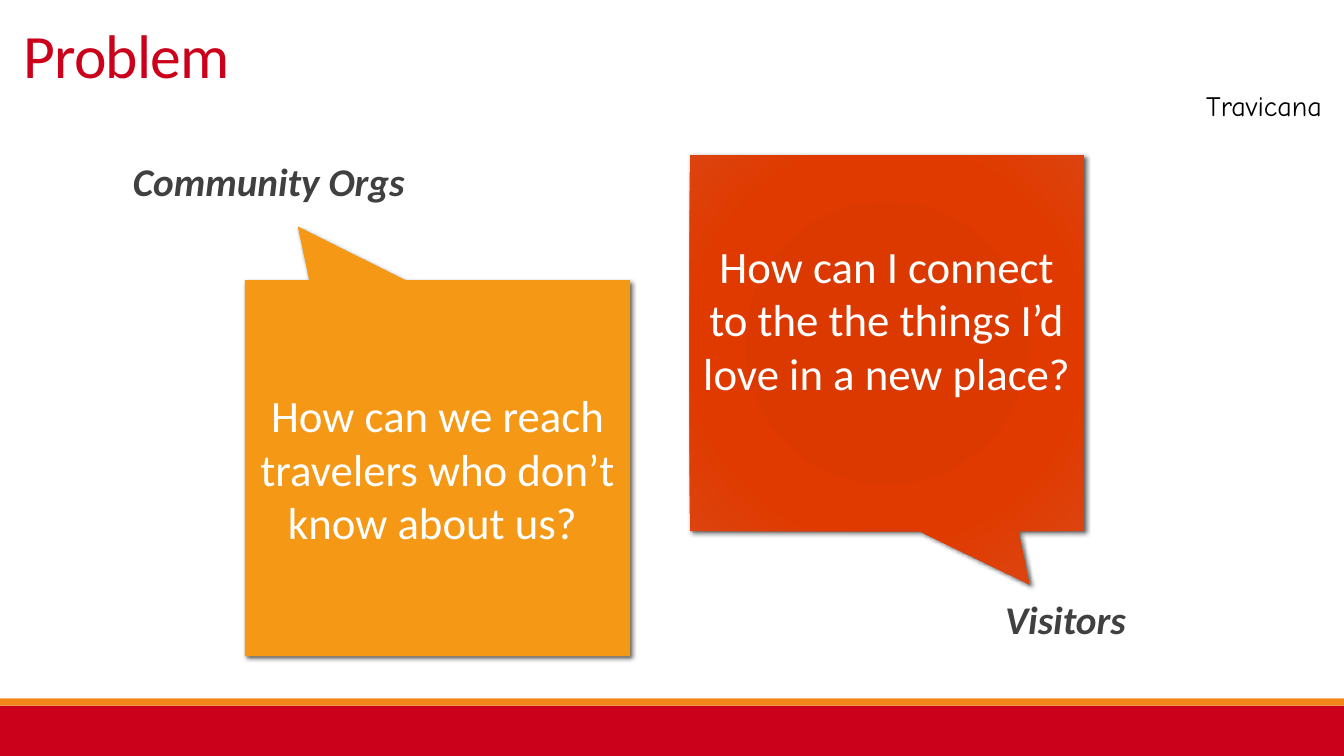
from lxml.etree import SubElement
from pptx import Presentation
from pptx.dml.color import RGBColor
from pptx.enum.shapes import MSO_SHAPE
from pptx.enum.text import MSO_ANCHOR, PP_ALIGN
from pptx.oxml import parse_xml
from pptx.oxml.ns import qn
from pptx.util import Inches, Pt

WIDE, HIGH = 13.33, 7.5
NS = 'xmlns:a="http://schemas.openxmlformats.org/drawingml/2006/main"'

BANDS = [(7, 0.5, "CB001A"), (6.93, 0.07, "F28818")]
LABELS = [
    ("Visitors", (9.87, 5.91, 2.33, 0.71)),
    ("Community Orgs", (1.22, 1.56, 5.64, 1.19)),
]
GLOW = [(0, "DA3900"), (34, "DC3900"), (70, "E03A00"), (100, "DC430E")]
CALLS = [
    ("How can I connect to the the things I’d love in a new place?",
     (6.84, 1.54, 3.91, 3.73), (0.363, 0.643), GLOW, 0.53),
    ("How can we reach travelers who don’t know about us? ",
     (2.43, 2.78, 3.82, 3.73), (-0.363, -0.643), "F49815", 0.05),
]


def color(code):
    return RGBColor.from_string(code)


def write(shape, text, size=32, font="Calibri", ink="FFFFFF", bold=False,
          align=PP_ALIGN.LEFT, anchor=MSO_ANCHOR.TOP, line=None,
          inset=(0.1, 0.05, 0.1, 0.05), track=None):
    frame = shape.text_frame
    frame.word_wrap = True
    frame.vertical_anchor = anchor
    (frame.margin_left, frame.margin_top,
     frame.margin_right, frame.margin_bottom) = map(Inches, inset)
    para = frame.paragraphs[0]
    para.alignment = align
    if line:
        para.line_spacing = line
    run = para.add_run()
    run.text = text
    face = run.font
    face.size, face.name = Pt(size), font
    face.bold = face.italic = bold
    face.color.rgb = color(ink)
    if track:
        run._r.get_or_add_rPr().set("spc", str(int(track * 100)))


def place(kind, box, fill):
    shape = slide.shapes.add_shape(kind, *map(Inches, box))
    shape.shadow.inherit = False
    shape.line.fill.background()
    if isinstance(fill, str):
        shape.fill.solid()
        shape.fill.fore_color.rgb = color(fill)
    else:
        stops = "".join(
            f'<a:gs pos="{pos * 1000}"><a:srgbClr val="{code}"/></a:gs>'
            for pos, code in fill)
        shape._element.spPr.find(qn("a:prstGeom")).addnext(parse_xml(
            f'<a:gradFill {NS} rotWithShape="1"><a:gsLst>{stops}</a:gsLst>'
            '<a:path path="circle"><a:fillToRect l="50000" t="50000" '
            'r="50000" b="50000"/></a:path></a:gradFill>'))
    return shape


def shade(shape):
    glow = shape._element.spPr.find(qn("a:effectLst"))
    cast = SubElement(glow, qn("a:outerShdw"), blurRad=str(Pt(3)),
                      dist=str(Pt(2)), dir="2700000", rotWithShape="0")
    tint = SubElement(cast, qn("a:srgbClr"), val="000000")
    SubElement(tint, qn("a:alpha"), val="60000")


def label(box, text, **style):
    write(slide.shapes.add_textbox(*map(Inches, box)), text, **style)


deck = Presentation()
deck.slide_width, deck.slide_height = Inches(WIDE), Inches(HIGH)
slide = deck.slides.add_slide(deck.slide_layouts[6])

for top, tall, fill in BANDS:
    place(MSO_SHAPE.RECTANGLE, (0, top, WIDE, tall), fill)

label((11.2, 0.83, 2.01, 0.44), "Travicana", size=20, font="Comic Neue",
      ink="000000", align=PP_ALIGN.RIGHT)
label((0, 0, 12.2, 0.95), "Problem", size=44, ink="CB001A", line=0.85,
      anchor=MSO_ANCHOR.BOTTOM, inset=(0.23, 0.05, 0.1, 0.05), track=-0.5)

for text, box in LABELS:
    label(box, text, size=28, ink="404040", bold=True, line=0.9,
          inset=(0.1, 0.05, 0, 0.05))

for text, box, tip, fill, foot in CALLS:
    call = place(MSO_SHAPE.RECTANGULAR_CALLOUT, box, fill)
    call.adjustments[0], call.adjustments[1] = tip
    shade(call)
    write(call, text, align=PP_ALIGN.CENTER, anchor=MSO_ANCHOR.MIDDLE,
          inset=(0.1, 0.05, 0.1, foot))

deck.save("out.pptx")
